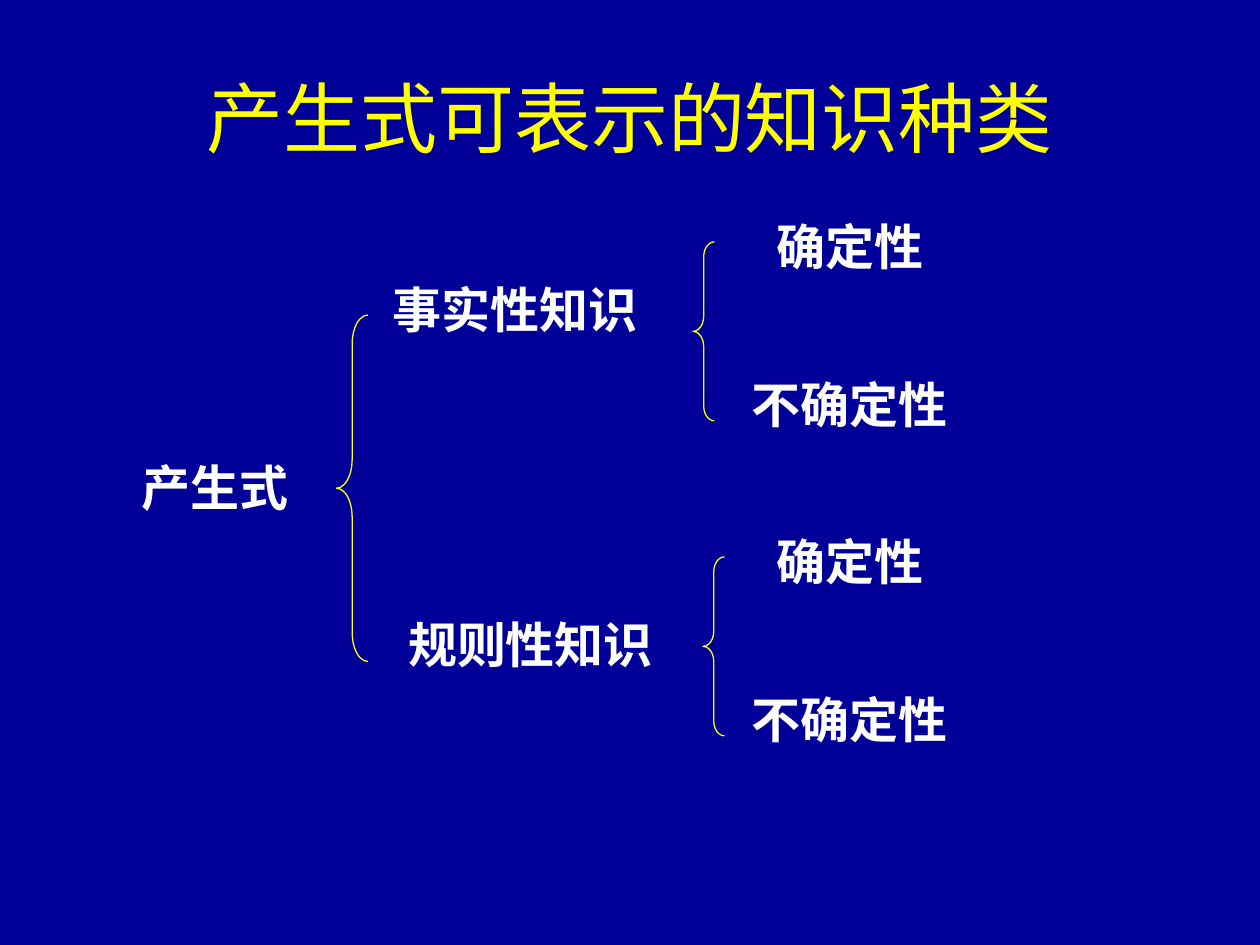
from lxml import etree
from pptx import Presentation
from pptx.dml.color import RGBColor
from pptx.enum.shapes import MSO_SHAPE
from pptx.enum.text import MSO_ANCHOR, PP_ALIGN
from pptx.oxml.ns import qn
from pptx.util import Inches, Pt

NAVY, YELLOW, WHITE = "000099", "FFFF00", "FFFFFF"
TITLE = ("产生式可表示的知识种类", 0.5, 0.3, 9, 1.25)
TITLE_FORMAT = {"size": Pt(44), "name": "Noto Sans CJK SC"}
LABEL_FORMAT = {"size": Pt(28), "name": "Arial", "bold": True}

# text, left, top, width
BRANCHES = [
    ("产生式", 0.83, 3.58, 1.75),
    ("事实性知识", 2.92, 2.17, 2.33),
    ("规则性知识", 3, 4.83, 2.42),
]
LEAVES = ["确定性", "不确定性", "确定性", "不确定性"]
LEAF_LEFT, LEAF_TOP, LEAF_WIDTH, LEAF_STEP = 5.58, 1.67, 2.33, 1.25
LABEL_HEIGHT = 0.57

# left, top, width, height
BRACES = [
    (2.67, 2.5, 0.25, 2.75),
    (5.5, 1.92, 0.17, 1.42),
    (5.58, 4.42, 0.17, 1.42),
]


def color(value):
    return RGBColor.from_string(value)


def add_text(page, text, left, top, width, height, text_color, font_format):
    box = page.shapes.add_textbox(*map(Inches, (left, top, width, height)))
    frame = box.text_frame
    frame.word_wrap = True
    para = frame.paragraphs[0]
    para.alignment = PP_ALIGN.CENTER
    span = para.add_run()
    span.text = text
    for name, value in font_format.items():
        setattr(span.font, name, value)
    span.font.color.rgb = color(text_color)
    east_asian = etree.SubElement(span.font._element, qn("a:ea"))
    east_asian.set("typeface", font_format["name"])
    return frame


def add_brace(page, left, top, width, height):
    brace = page.shapes.add_shape(
        MSO_SHAPE.LEFT_BRACE, *map(Inches, (left, top, width, height)))
    brace.shadow.inherit = False
    brace.fill.background()
    brace.line.color.rgb = color(YELLOW)
    brace.line.width = Pt(0.75)
    # each curl takes one twelfth of the height
    brace.adjustments[0] = height / width / 12


def main():
    deck = Presentation()
    deck.slide_width, deck.slide_height = Inches(10), Inches(7.5)
    page = deck.slides.add_slide(deck.slide_layouts[6])
    page.background.fill.solid()
    page.background.fill.fore_color.rgb = color(NAVY)

    title = add_text(page, *TITLE, YELLOW, TITLE_FORMAT)
    title.vertical_anchor = MSO_ANCHOR.MIDDLE

    leaves = [(text, LEAF_LEFT, LEAF_TOP + row * LEAF_STEP, LEAF_WIDTH)
              for row, text in enumerate(LEAVES)]
    for label in BRANCHES + leaves:
        add_text(page, *label, LABEL_HEIGHT, WHITE, LABEL_FORMAT)
    for brace in BRACES:
        add_brace(page, *brace)
    deck.save("out.pptx")


if __name__ == "__main__":
    main()
